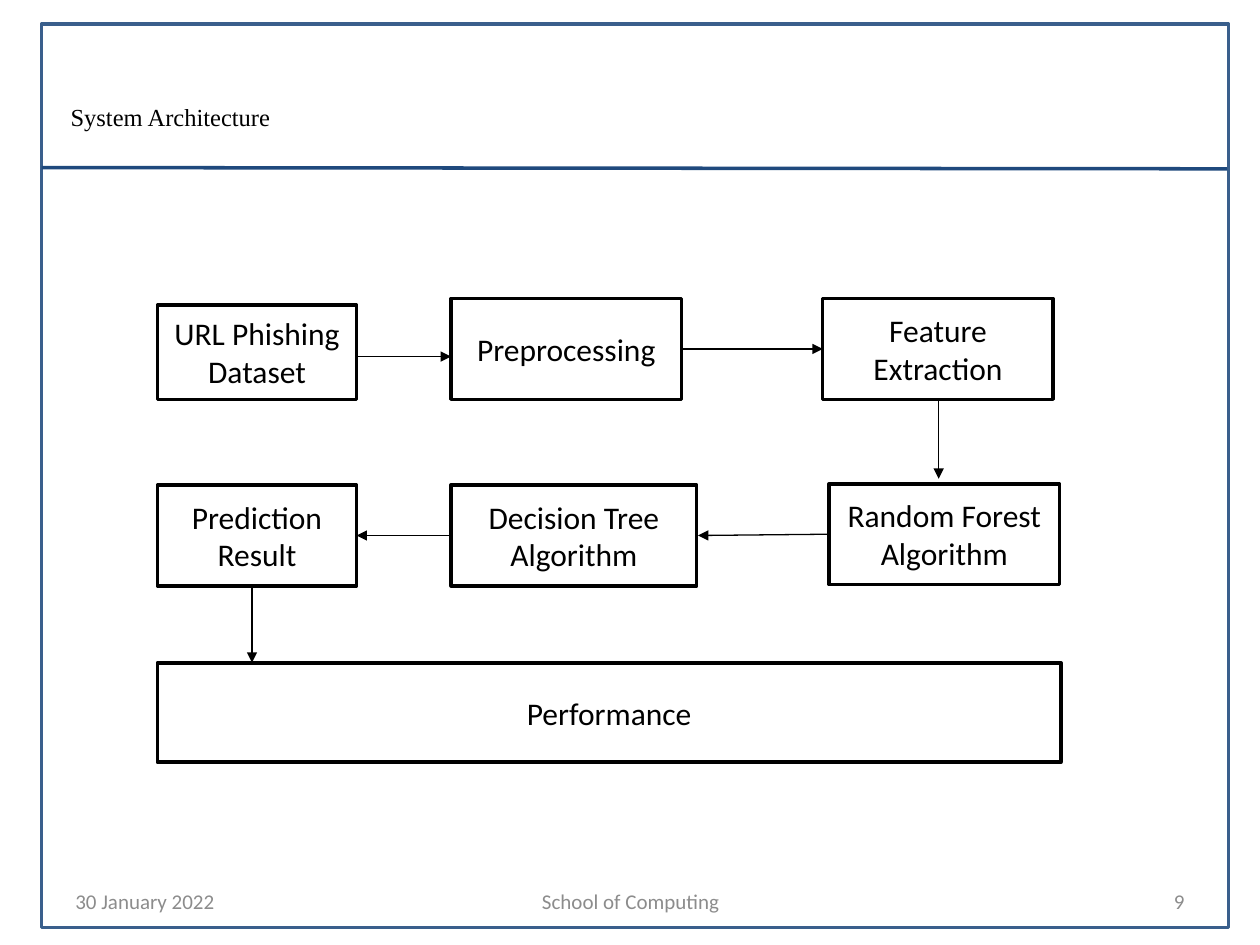
from lxml import etree
from pptx import Presentation
from pptx.dml.color import RGBColor
from pptx.enum import shapes, text
from pptx.oxml import ns
from pptx.util import Inches, Pt

BLACK = RGBColor(0, 0, 0)
WHITE = RGBColor(255, 255, 255)
GREY = RGBColor(0x8C, 0x8C, 0x8C)
FRAME = RGBColor(0x3A, 0x5F, 0x8C)
NAVY = RGBColor(0x1F, 0x49, 0x7D)
LEFT, MID, RIGHT = text.PP_ALIGN.LEFT, text.PP_ALIGN.CENTER, text.PP_ALIGN.RIGHT

TITLE = "System Architecture"
FOOTER = [  # wording, left, width, alignment
    ("30 January 2022", 0.5, 2.33, LEFT),
    ("School of Computing", 3.42, 3.17, MID),
    ("9", 7.17, 2.33, RIGHT),
]
STEPS = [  # wording, left, top, width, height
    ("URL Phishing Dataset", 1.25, 2.42, 1.58, 0.75),
    ("Preprocessing", 3.58, 2.37, 1.83, 0.8),
    ("Feature Extraction", 6.53, 2.37, 1.83, 0.8),
    ("Random Forest Algorithm", 6.58, 3.84, 1.83, 0.8),
    ("Decision Tree Algorithm", 3.58, 3.85, 1.95, 0.8),
    ("Prediction Result", 1.25, 3.85, 1.58, 0.8),
    ("Performance", 1.25, 5.26, 7.17, 0.79),
]
ARROWS = [  # start x, start y, end x, end y
    (2.83, 2.83, 3.58, 2.83),
    (5.42, 2.77, 6.53, 2.77),
    (7.45, 3.17, 7.45, 3.8),
    (6.58, 4.24, 5.54, 4.25),
    (3.58, 4.25, 2.83, 4.25),
    (2, 4.65, 2, 5.26),
]


def write(shape, words, size, color, align, font="Calibri"):
    frame = shape.text_frame
    frame.text = words
    frame.word_wrap = True
    frame.auto_size = text.MSO_AUTO_SIZE.NONE
    frame.vertical_anchor = text.MSO_ANCHOR.MIDDLE
    para = frame.paragraphs[0]
    para.alignment = align
    face = para.runs[0].font
    face.name, face.size = font, Pt(size)
    face.color.rgb = color


def add_box(slide, place, color):
    box = slide.shapes.add_shape(
        shapes.MSO_SHAPE.RECTANGLE, *map(Inches, place))
    box.shadow.inherit = False
    box.line.color.rgb = color
    box.line.width = Pt(2)
    return box


def add_line(slide, ends, color, width, arrow=False):
    line = slide.shapes.add_connector(
        shapes.MSO_CONNECTOR.STRAIGHT, *map(Inches, ends))
    line.line.color.rgb = color
    line.line.width = Pt(width)
    if arrow:
        tail = etree.SubElement(line.line._get_or_add_ln(), ns.qn("a:tailEnd"))
        tail.set("type", "triangle")
    etree.SubElement(line._element.spPr, ns.qn("a:effectLst"))


def main():
    deck = Presentation()
    deck.slide_width, deck.slide_height = Inches(10), Inches(7.5)
    slide = deck.slides.add_slide(deck.slide_layouts[5])

    add_box(slide, (0.33, 0.19, 9.42, 7.17), FRAME).fill.background()
    add_line(slide, (0.33, 1.33, 9.74, 1.34), NAVY, 2)

    title = slide.shapes.title
    title.left, title.top = Inches(0.46), Inches(0.3)
    title.width, title.height = Inches(9), Inches(1.25)
    write(title, TITLE, 14, BLACK, LEFT, "Times New Roman")

    for words, left, width, align in FOOTER:
        note = slide.shapes.add_textbox(
            *map(Inches, (left, 6.95, width, 0.4)))
        write(note, words, 12, GREY, align)

    for words, *place in STEPS:
        box = add_box(slide, place, BLACK)
        box.fill.solid()
        box.fill.fore_color.rgb = WHITE
        write(box, words, 18, BLACK, MID)

    for ends in ARROWS:
        add_line(slide, ends, BLACK, 0.75, arrow=True)

    deck.save("out.pptx")


if __name__ == "__main__":
    main()
